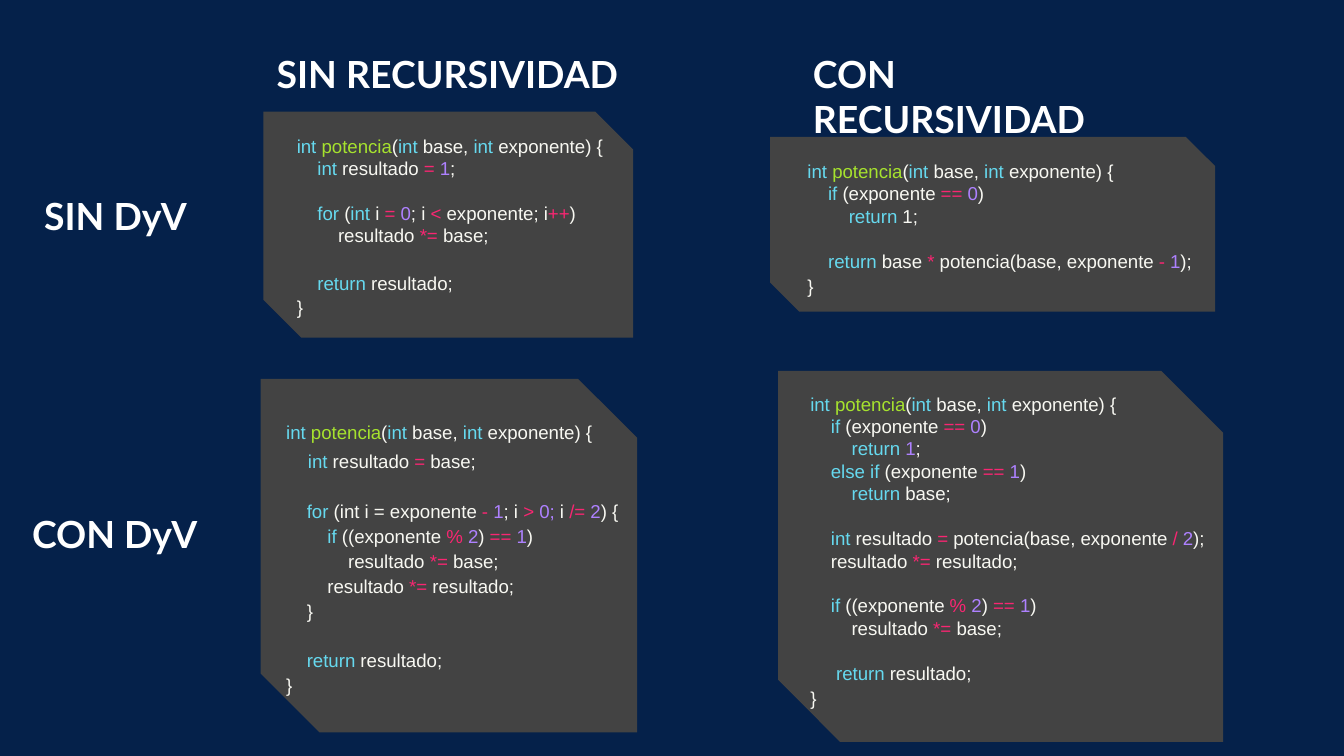
from dataclasses import dataclass

from lxml import etree
from pptx import Presentation
from pptx.dml.color import RGBColor
from pptx.enum.shapes import MSO_SHAPE
from pptx.enum.text import MSO_ANCHOR, PP_ALIGN
from pptx.oxml.ns import qn
from pptx.util import Pt

SNIPPED = MSO_SHAPE.SNIP_2_DIAG_RECTANGLE
TOP = MSO_ANCHOR.TOP
LEFT = PP_ALIGN.LEFT


@dataclass(frozen=True)
class Theme:
    """Colours, fonts and type sizes of the slide."""
    background: str = "05214A"
    card: str = "434343"
    heading: str = "FFFFFF"
    plain: str = "F8F8F2"
    keyword: str = "66D9EF"
    function: str = "A6E22E"
    operator: str = "F92672"
    number: str = "AE81FF"
    heading_font: str = "Lato"
    code_font: str = "Arial"
    heading_size: float = 20
    code_size: float = 10
    wide_size: float = 12
    margin: float = 7.2
    loose: float = 1.11


THEME = Theme()

MARKS = {
    "@": (THEME.keyword, THEME.code_size),
    "$": (THEME.function, THEME.code_size),
    "~": (THEME.operator, THEME.code_size),
    "#": (THEME.number, THEME.code_size),
    "^": (THEME.plain, THEME.wide_size),
}
PLAIN = (THEME.plain, THEME.code_size)

SIGNATURE = "@int @$potencia$(@int @base, @int @exponente) {"

ITERATIVE = [
    SIGNATURE,
    "    @int @resultado ~= ~#1#;",
    "",
    "    @for @(@int @i ~= ~#0#; i ~< ~exponente; i~++~)",
    "        resultado ~*= ~base;",
    "",
    "    @return @resultado;",
    "}",
]
RECURSIVE = [
    SIGNATURE,
    "    @if @(exponente ~== ~#0#)",
    "        @return@ 1;",
    "",
    "    @return @base ~* ~potencia(base, exponente ~- ~#1#);",
    "}",
]
ITERATIVE_HALVING = [
    SIGNATURE,
    "   ^ ^@int @resultado ~= ~base;",
    "",
    "    @for @(int i = exponente~ -~# 1#; i ~> ~#0;# i~ /=~# 2#) {",
    "        @if @((exponente ~% ~#2#) ~== ~#1#)",
    "            resultado ~*= ~base;",
    "        resultado ~*= ~resultado;",
    "    }",
    "",
    "    @return @resultado;",
    "}",
]
RECURSIVE_HALVING = [
    SIGNATURE,
    "    @if @(exponente ~== ~#0#)",
    "        @return @#1#;",
    "    @else if @(exponente ~== ~#1#)",
    "        @return @base;",
    "",
    "    @int @resultado ~= ~potencia(base, exponente ~/ ~#2#);",
    "    resultado ~*= ~resultado;",
    "",
    "    @if @((exponente ~% ~#2#) ~== ~#1#)",
    "        resultado ~*= ~base;",
    "",
    "     @return @resultado;",
    "}",
]

HEADINGS = [
    ("SIN RECURSIVIDAD", (141.1, 20.2, 208.1, 48.2)),
    ("CON RECURSIVIDAD", (428.4, 20.2, 208.1, 48.2)),
    ("SIN DyV", (16.6, 96.5, 95.8, 48.2)),
    ("CON DyV", (10.1, 266.4, 108, 48.2)),
]

PANELS = [
    (ITERATIVE, 2, (141.1, 59.8, 198, 121), (10.8, 5, 187.9, 110.9)),
    (RECURSIVE, 1, (412.6, 73.4, 238.3, 93.6), (12.9, 5, 223.2, 84.2)),
    (ITERATIVE_HALVING, 11, (139.7, 203, 201.6, 189.4), (6.5, 13.7, 198, 162.7)),
    (RECURSIVE_HALVING, 1, (416.9, 198.7, 238.3, 198.7), (10.1, 4.3, 237.6, 176.4)),
]


def apply_format(target, values):
    """Set every named attribute of the target."""
    for attribute, value in values.items():
        setattr(target, attribute, value)


def style_run(run, font, size, colour, bold=False):
    """Give a run its font, size and colour."""
    apply_format(run.font, {"name": font, "size": Pt(size), "bold": bold})
    run.font.color.rgb = RGBColor.from_string(colour)


def text_area(slide, box):
    """Add a wrapping, top-anchored text frame with equal margins."""
    frame = slide.shapes.add_textbox(*map(Pt, box)).text_frame
    margins = {f"margin_{side}": Pt(THEME.margin)
               for side in ("left", "top", "right", "bottom")}
    apply_format(frame, {"word_wrap": True, "vertical_anchor": TOP, **margins})
    return frame


def heading(slide, wording, box):
    """Place a row or column heading in the box."""
    paragraph = text_area(slide, box).paragraphs[0]
    paragraph.alignment = LEFT
    run = paragraph.add_run()
    run.text = wording
    style_run(run, THEME.heading_font, THEME.heading_size, THEME.heading, True)


def tokens(line):
    """Split a marked line into pieces of text with colour and size."""
    piece, open_mark = "", None
    for letter in line:
        if letter in MARKS:
            if piece:
                yield piece, MARKS.get(open_mark, PLAIN)
            piece, open_mark = "", None if open_mark else letter
        else:
            piece += letter
    if piece:
        yield piece, PLAIN


def code_line(paragraph, line, spacing):
    """Fill a paragraph with one highlighted line of code."""
    apply_format(paragraph, {"alignment": LEFT, "line_spacing": spacing})
    for piece, (colour, size) in tokens(line):
        run = paragraph.add_run()
        run.text = piece
        style_run(run, THEME.code_font, size, colour)
    if not line:
        end = etree.SubElement(paragraph._p, qn("a:endParaRPr"),
                               sz=str(THEME.code_size * 100))
        etree.SubElement(end, qn("a:latin"), typeface=THEME.code_font)


def code_panel(slide, code, loose_lines, box, inner):
    """Draw a snipped card and its code, offset from the card corner."""
    card = slide.shapes.add_shape(SNIPPED, *map(Pt, box))
    card.shadow.inherit = False
    card.fill.solid()
    card.fill.fore_color.rgb = RGBColor.from_string(THEME.card)
    card.line.fill.background()

    left, top, width, height = inner
    frame = text_area(slide, (box[0] + left, box[1] + top, width, height))
    first_loose = len(code) - loose_lines
    for index, line in enumerate(code):
        paragraph = frame.add_paragraph() if index else frame.paragraphs[0]
        code_line(paragraph, line, THEME.loose if index >= first_loose else 1.0)


def main():
    """Build the comparison slide and save it."""
    deck = Presentation()
    apply_format(deck, {"slide_width": Pt(720), "slide_height": Pt(405)})
    slide = deck.slides.add_slide(deck.slide_layouts[6])
    slide.background.fill.solid()
    slide.background.fill.fore_color.rgb = RGBColor.from_string(THEME.background)
    for panel in PANELS:
        code_panel(slide, *panel)
    for wording, box in HEADINGS:
        heading(slide, wording, box)
    deck.save("out.pptx")


if __name__ == "__main__":
    main()
